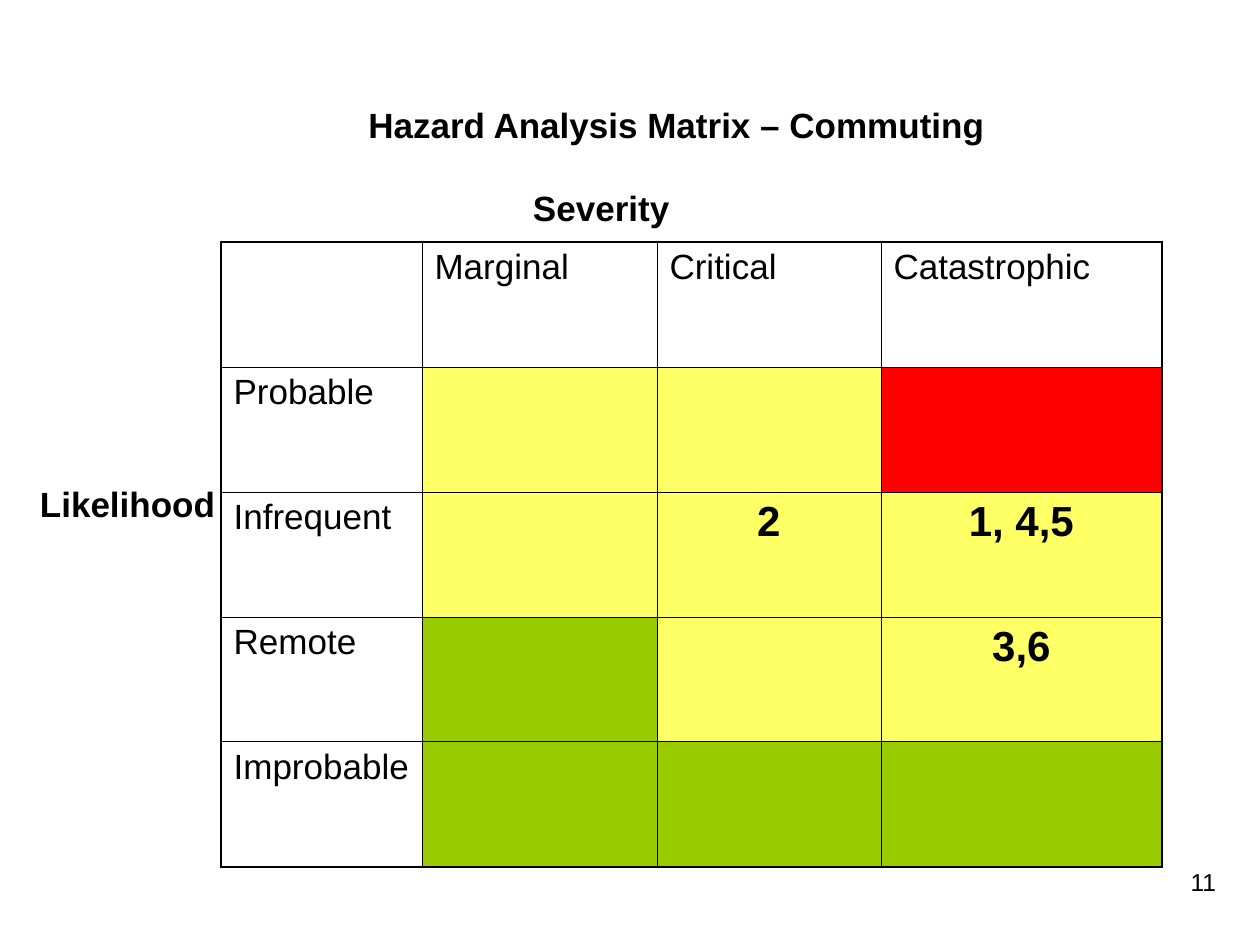
from lxml.etree import SubElement
from pptx import Presentation
from pptx.dml.color import RGBColor
from pptx.enum.text import MSO_ANCHOR, MSO_AUTO_SIZE, PP_ALIGN
from pptx.oxml.ns import qn
from pptx.util import Emu, Pt

THEME = {
    "font": "Arial", "text": "000000", "line": "000000",
    "white": "FFFFFF", "yellow": "FFFF66", "red": "FF0000", "green": "99CC00",
    "number_size": 14, "label_size": 20, "hazard_size": 24,
    "thin": 0.45, "thick": 1.08,
}
TITLE = "Hazard Analysis Matrix – Commuting"
TITLE_BOX = (189, 84, 975, 82)
SLIDE_NUMBER = "11"
SLIDE_NUMBER_BOX = (935, 861, 294, 65)
AXIS_LABELS = [
    ("Severity", (520, 180, 164, 55)),
    ("Likelihood", (27, 476, 202, 55)),
]
SEVERITIES = ["", "Marginal", "Critical", "Catastrophic"]
# likelihood, then (hazards, risk colour) for each severity
LIKELIHOODS = [
    ("Probable", ("", "yellow"), ("", "yellow"), ("", "red")),
    ("Infrequent", ("", "yellow"), ("2", "yellow"), ("1, 4,5", "yellow")),
    ("Remote", ("", "green"), ("", "yellow"), ("3,6", "yellow")),
    ("Improbable", ("", "green"), ("", "green"), ("", "green")),
]
TABLE_LEFT, TABLE_TOP, ROW_HEIGHT = 221, 242, 125
COLUMN_WIDTHS = [201, 235, 224, 281]


def px(length):
    return Emu(round(length * 914400 / 126))


def color(name):
    return RGBColor.from_string(THEME[name])


def place(shape, box):
    for name, length in zip(("left", "top", "width", "height"), box):
        setattr(shape, name, px(length))


def write(frame, text, size, bold=False, alignment=PP_ALIGN.LEFT):
    margins = {"margin_left": 13, "margin_right": 13, "margin_top": 6, "margin_bottom": 6}
    for name, length in margins.items():
        setattr(frame, name, px(length))
    paragraph = frame.paragraphs[0]
    paragraph.text = text
    paragraph.alignment = alignment
    font = paragraph.runs[0].font if text else paragraph.font
    formats = {"name": THEME["font"], "size": Pt(THEME[size]), "bold": bold}
    for name, value in formats.items():
        setattr(font, name, value)
    font.color.rgb = color("text")


def draw_borders(cell, outer_edges):
    """Line every side of a cell, thicker on the table's outer edges."""
    properties = cell._tc.get_or_add_tcPr()
    for position, side in enumerate("LRTB"):
        weight = THEME["thick" if side in outer_edges else "thin"]
        line = SubElement(properties, qn(f"a:ln{side}"), w=str(Pt(weight)))
        fill = SubElement(line, qn("a:solidFill"))
        SubElement(fill, qn("a:srgbClr"), val=THEME["line"])
        properties.insert(position, line)


def add_matrix(slide):
    header = [(text, "white") for text in SEVERITIES]
    rows = [header] + [[(name, "white"), *risks] for name, *risks in LIKELIHOODS]
    last_row, last_column = len(rows) - 1, len(COLUMN_WIDTHS) - 1
    table = slide.shapes.add_table(
        len(rows), len(COLUMN_WIDTHS), px(TABLE_LEFT), px(TABLE_TOP),
        px(sum(COLUMN_WIDTHS)), px(ROW_HEIGHT * len(rows))).table
    table.first_row = table.horz_banding = False
    for column, width in zip(table.columns, COLUMN_WIDTHS):
        column.width = px(width)
    for i, row in enumerate(rows):
        table.rows[i].height = px(ROW_HEIGHT)
        for j, (text, fill) in enumerate(row):
            cell = table.cell(i, j)
            if i and j:
                write(cell.text_frame, text, "hazard_size", True, PP_ALIGN.CENTER)
            else:
                write(cell.text_frame, text, "label_size")
            cell.fill.solid()
            cell.fill.fore_color.rgb = color(fill)
            edges = {"L": j == 0, "R": j == last_column, "T": i == 0, "B": i == last_row}
            draw_borders(cell, [side for side, outer in edges.items() if outer])


def main():
    presentation = Presentation()
    presentation.slide_width, presentation.slide_height = px(1260), px(945)
    slide = presentation.slides.add_slide(presentation.slide_layouts[5])
    title = slide.shapes.title
    place(title, TITLE_BOX)
    title.text_frame.vertical_anchor = MSO_ANCHOR.MIDDLE
    write(title.text_frame, TITLE, "label_size", True, PP_ALIGN.CENTER)
    add_matrix(slide)
    for text, box in AXIS_LABELS:
        frame = slide.shapes.add_textbox(*map(px, box)).text_frame
        frame.word_wrap = False
        frame.auto_size = MSO_AUTO_SIZE.SHAPE_TO_FIT_TEXT
        write(frame, text, "label_size", True)
    number_frame = slide.shapes.add_textbox(*map(px, SLIDE_NUMBER_BOX)).text_frame
    number_frame.word_wrap = True
    write(number_frame, SLIDE_NUMBER, "number_size", alignment=PP_ALIGN.RIGHT)
    presentation.save("out.pptx")


if __name__ == "__main__":
    main()
